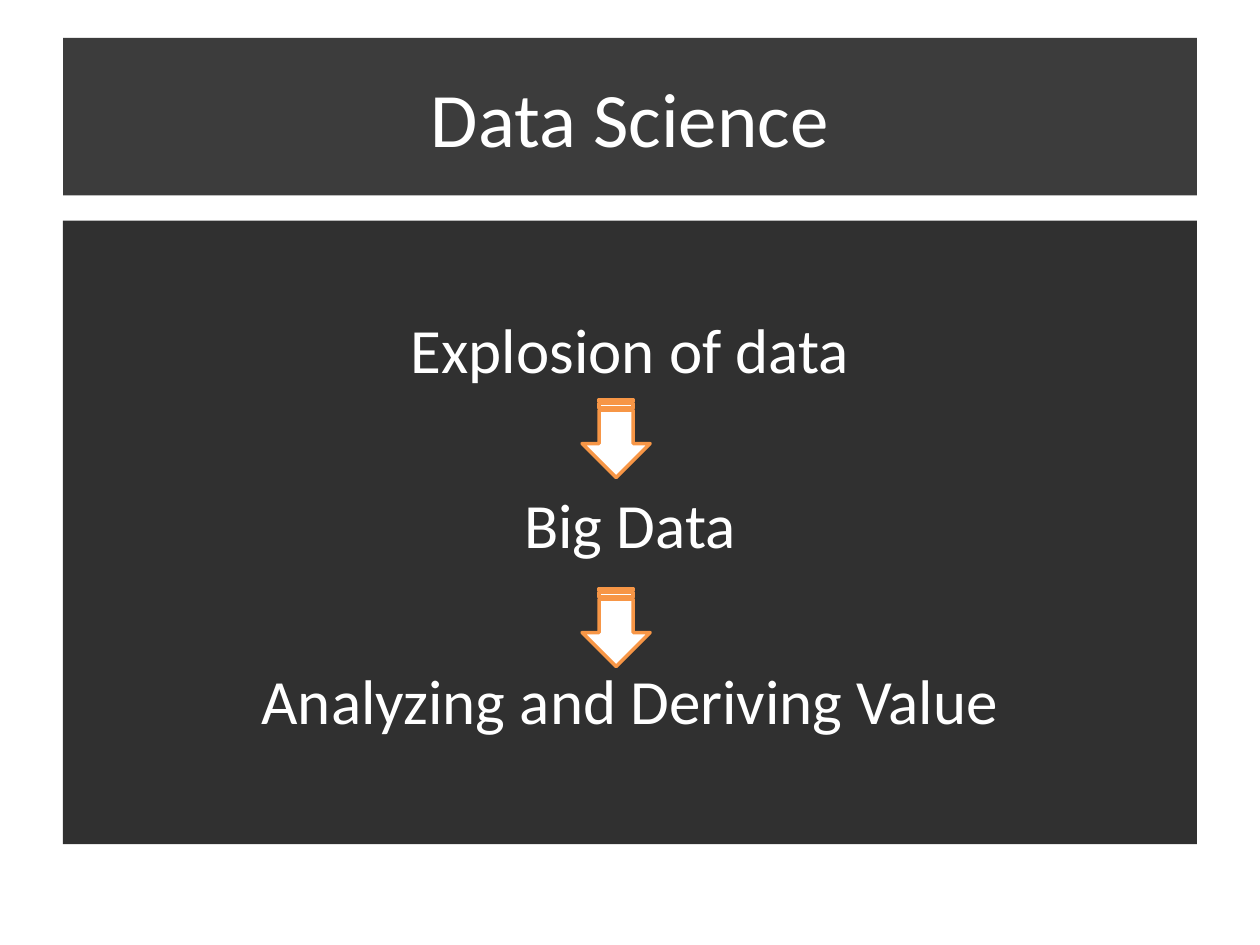
from dataclasses import dataclass

import lxml.etree
import pptx
import pptx.dml.color
import pptx.enum.shapes
import pptx.enum.text
import pptx.oxml.ns
import pptx.util

Inches = pptx.util.Inches
Pt = pptx.util.Pt
RGBColor = pptx.dml.color.RGBColor

WHITE = RGBColor(0xFF, 0xFF, 0xFF)
BLACK = RGBColor(0x00, 0x00, 0x00)
CHARCOAL = RGBColor(0x0F, 0x0F, 0x0F)
ORANGE = RGBColor(0xF7, 0x96, 0x46)
FONT = "Calibri"
PANEL_OPACITY = 81


@dataclass
class Area:
    left: float
    top: float
    width: float
    height: float


TITLE_AREA = Area(0.5, 0.3, 9, 1.25)
BODY_AREA = Area(0.5, 1.75, 9, 4.95)
ARROWS = [Area(4.58, top, 0.62, 0.54) for top in (3.21, 4.71)]
STEPS = ["Explosion of data", "Big Data", "Analyzing and Deriving Value"]


def fill_panel(shape, color: RGBColor, opacity: int) -> None:
    """Give a shape a partly transparent solid fill."""
    shape.fill.solid()
    shape.fill.fore_color.rgb = color
    color_element = shape._element.spPr.find(".//" + pptx.oxml.ns.qn("a:srgbClr"))
    alpha = lxml.etree.SubElement(color_element, pptx.oxml.ns.qn("a:alpha"))
    alpha.set("val", str(opacity * 1000))


def format_text(frame, size: float) -> None:
    """Centre every paragraph and set its font."""
    for para in frame.paragraphs:
        para.alignment = pptx.enum.text.PP_ALIGN.CENTER
        for span in para.runs:
            span.font.name = FONT
            span.font.size = Pt(size)
            span.font.color.rgb = WHITE


def add_shape(page, kind, area: Area):
    shape = page.shapes.add_shape(
        kind, Inches(area.left), Inches(area.top), Inches(area.width), Inches(area.height)
    )
    shape.shadow.inherit = False
    return shape


def add_title(page, text: str, area: Area) -> None:
    title = page.shapes.title
    title.left, title.top = Inches(area.left), Inches(area.top)
    title.width, title.height = Inches(area.width), Inches(area.height)
    fill_panel(title, CHARCOAL, PANEL_OPACITY)
    title.text_frame.text = text
    title.text_frame.vertical_anchor = pptx.enum.text.MSO_ANCHOR.MIDDLE
    format_text(title.text_frame, 44)


def add_steps(page, steps: list[str], area: Area) -> None:
    box = add_shape(page, pptx.enum.shapes.MSO_SHAPE.RECTANGLE, area)
    fill_panel(box, BLACK, PANEL_OPACITY)
    box.line.fill.background()
    frame = box.text_frame
    frame.word_wrap = True
    frame.vertical_anchor = pptx.enum.text.MSO_ANCHOR.TOP
    frame.margin_top = Pt(51.5)
    frame.text = "\n".join(steps)
    format_text(frame, 36)
    # Leave room for an arrow above each later step
    for para in frame.paragraphs[1:]:
        para.space_before = Pt(57)


def add_down_arrow(page, area: Area) -> None:
    arrow = add_shape(page, pptx.enum.shapes.MSO_SHAPE.STRIPED_RIGHT_ARROW, area)
    arrow.rotation = 90
    arrow.fill.solid()
    arrow.fill.fore_color.rgb = WHITE
    arrow.line.color.rgb = ORANGE
    arrow.line.width = Pt(2)


def main() -> None:
    deck = pptx.Presentation()
    deck.slide_width, deck.slide_height = Inches(10), Inches(7.5)
    page = deck.slides.add_slide(deck.slide_layouts.get_by_name("Title Only"))

    # Title band and the panel of steps
    add_title(page, "Data Science", TITLE_AREA)
    add_steps(page, STEPS, BODY_AREA)

    # Arrows between the steps
    for area in ARROWS:
        add_down_arrow(page, area)

    deck.save("out.pptx")


if __name__ == "__main__":
    main()
